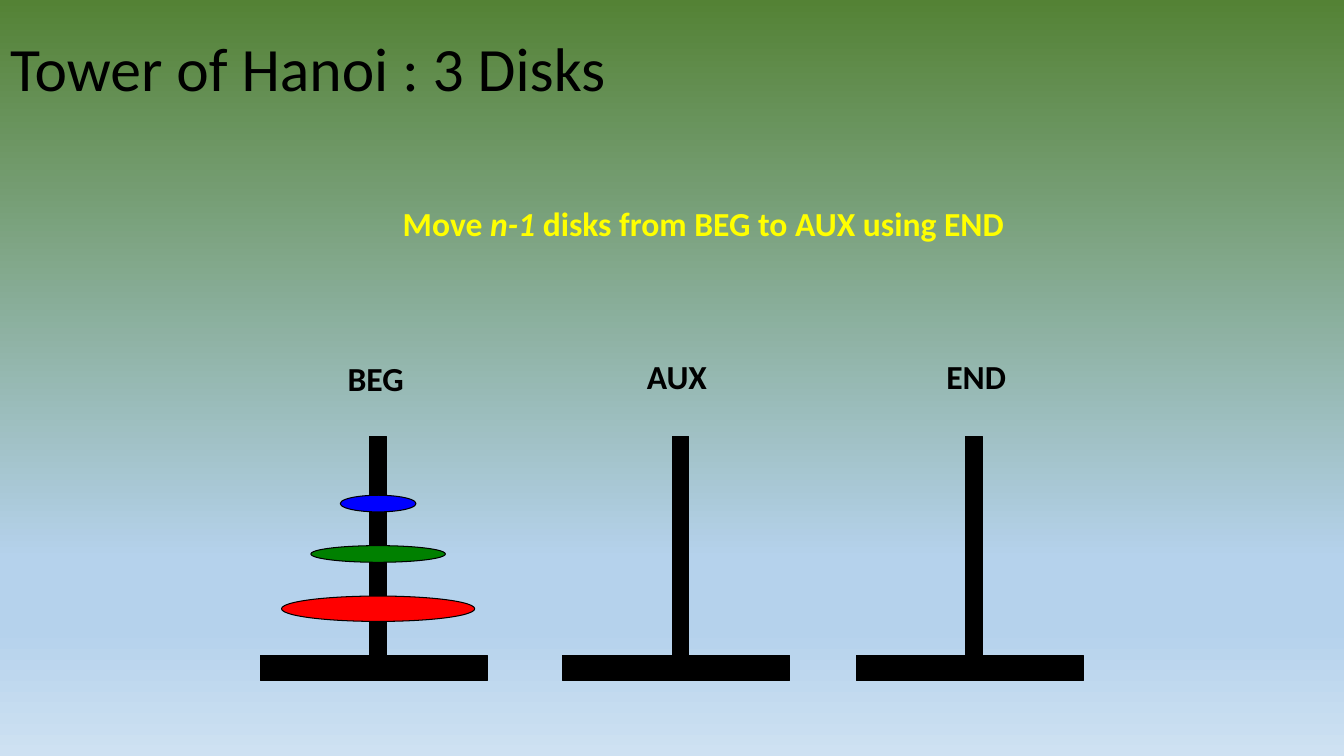
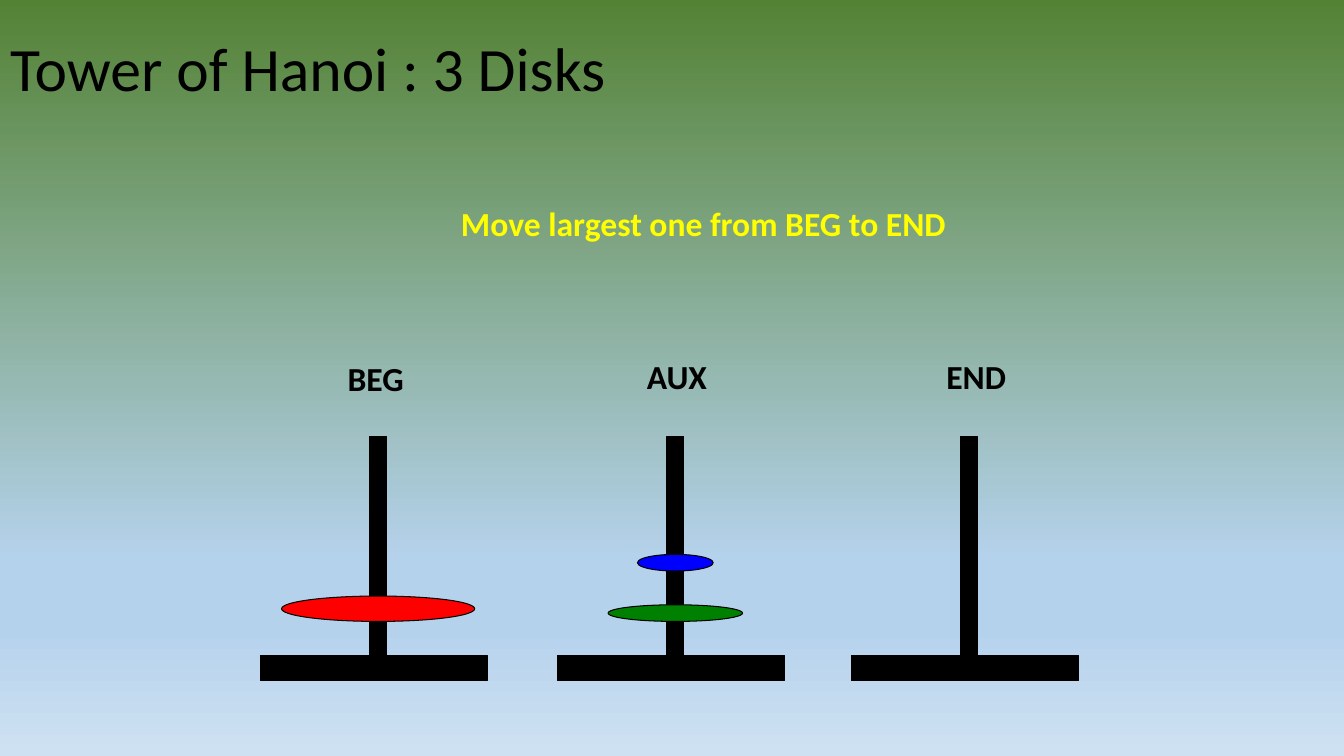
from copy import deepcopy
from dataclasses import dataclass

from pptx import Presentation
from pptx.dml.color import RGBColor as Rgb
from pptx.enum.shapes import MSO_SHAPE as Shape
from pptx.enum.text import MSO_ANCHOR as Anchor, MSO_AUTO_SIZE as Fit, PP_ALIGN as Align
from pptx.oxml.ns import qn
from pptx.util import Cm, Pt


@dataclass(frozen=True)
class Theme:
    font: str = "Calibri"
    title_size: int = 44
    text_size: int = 24
    ink: str = "000000"
    prompt: str = "FFFF00"
    large: str = "FF0000"
    medium: str = "008000"
    small: str = "0000FF"
    sky: tuple = ((0, "548235"), (0.74, "B5D2EC"), (0.83, "B5D2EC"), (1, "CEE1F2"))


theme = Theme()
title_format = {"name": theme.font, "size": Pt(theme.title_size), "bold": False}
text_format = {"name": theme.font, "size": Pt(theme.text_size), "bold": True}


def write(para, spans, font_format, colour):
    for text, italic in spans:
        span = para.add_run()
        span.text = text
        for name, value in font_format.items():
            setattr(span.font, name, value)
        if italic:
            span.font.italic = True
        span.font.color.rgb = Rgb.from_string(colour)


def draw(shapes, kind, centre, top, width, height, colour):
    shape = shapes.add_shape(kind, Cm(centre - width / 2), Cm(top), Cm(width), Cm(height))
    shape.shadow.inherit = False
    shape.fill.solid()
    shape.fill.fore_color.rgb = Rgb.from_string(colour)
    shape.line.color.rgb = Rgb.from_string(theme.ink)
    shape.line.width = Pt(0.75)


base_top = 16.51
base_shift = -0.11
pole_top = 11
stack_floor = 15.66
disk_step = 1.27
disks = {
    "large": (4.87, 0.64, theme.large),
    "medium": (3.39, 0.42, theme.medium),
    "small": (1.91, 0.42, theme.small),
}
labels = [("BEG", 8.51, 8.89, 1.96), ("AUX", 16.05, 8.84, 2.18), ("END", 23.6, 8.84, 2.34)]
steps = [
    (
        [("Move ", False), ("n-1", True), (" disks from BEG to AUX using END", False)],
        [(9.53, ["large", "medium", "small"]), (17.15, []), (24.55, [])],
    ),
    (
        [("Move largest one from BEG to END", False)],
        [(9.53, ["large"]), (17.02, ["medium", "small"]), (24.42, [])],
    ),
]

deck = Presentation()
deck.slide_width, deck.slide_height = Cm(33.87), Cm(19.05)

sky = deck.slide_master.background.fill
sky.gradient()
sky.gradient_angle = 270
stop_list = next(deck.slide_master.element.iter(qn("a:gsLst")))
while len(stop_list) < len(theme.sky):
    stop_list.append(deepcopy(stop_list[0]))
for stop, (position, colour) in zip(sky.gradient_stops, theme.sky):
    stop.position = position
    stop.color.rgb = Rgb.from_string(colour)

for prompt, towers in steps:
    page = deck.slides.add_slide(deck.slide_layouts[5])

    title = page.shapes.title
    title_box = {"left": Cm(0), "top": Cm(-0.03), "width": deck.slide_width, "height": Cm(3.68)}
    for name, value in title_box.items():
        setattr(title, name, value)
    title.text_frame.vertical_anchor = Anchor.MIDDLE
    para = title.text_frame.paragraphs[0]
    para.alignment = Align.LEFT
    para.line_spacing = 0.9
    write(para, [("Tower of Hanoi : 3 Disks", False)], title_format, theme.ink)

    for centre, stack in towers:
        tower = page.shapes.add_group_shape().shapes
        draw(tower, Shape.RECTANGLE, centre + base_shift, base_top, 5.72, 0.64, theme.ink)
        draw(tower, Shape.RECTANGLE, centre, pole_top, 0.42, base_top - pole_top, theme.ink)
        for level, disk in enumerate(stack):
            width, height, colour = disks[disk]
            if level == 0:
                lowest_top = stack_floor - height
            top = lowest_top - level * disk_step
            draw(tower, Shape.OVAL, centre, top, width, height, colour)

    label_group = page.shapes.add_group_shape().shapes
    for text, left, top, width in labels:
        box = label_group.add_textbox(Cm(left), Cm(top), Cm(width), Cm(1.27))
        box.text_frame.word_wrap = False
        box.text_frame.auto_size = Fit.SHAPE_TO_FIT_TEXT
        write(box.text_frame.paragraphs[0], [(text, False)], text_format, theme.ink)

    box = page.shapes.add_textbox(Cm(8.15), Cm(5), Cm(19.15), Cm(1.27))
    box.text_frame.word_wrap = True
    box.text_frame.auto_size = Fit.SHAPE_TO_FIT_TEXT
    para = box.text_frame.paragraphs[0]
    para.alignment = Align.CENTER
    write(para, prompt, text_format, theme.prompt)

deck.save("out.pptx")
